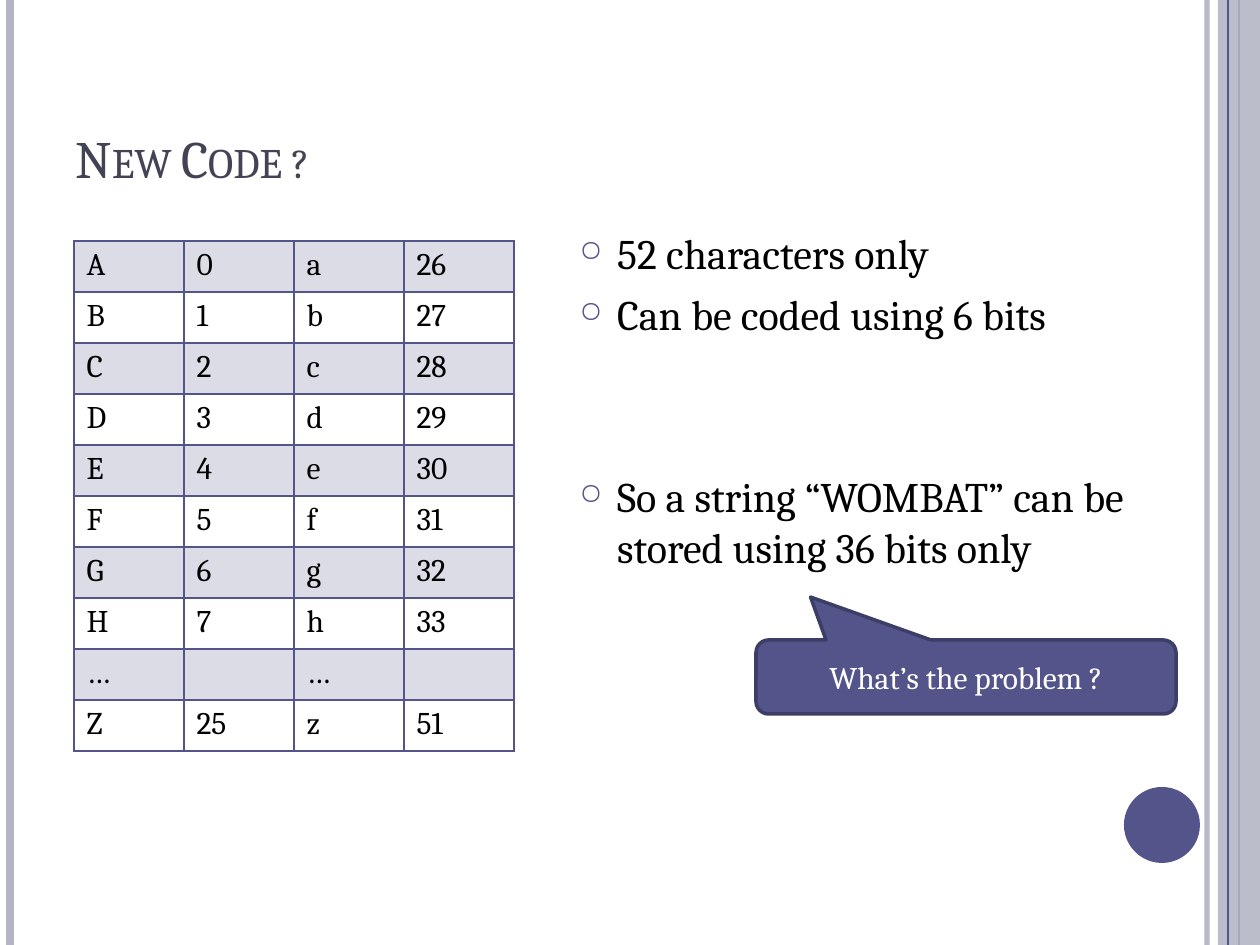
from lxml import etree
from pptx import Presentation
from pptx import util as u
from pptx.dml.color import RGBColor
from pptx.enum import shapes, text
from pptx.oxml import ns

SCALE = 914400 / 126  # EMU per px
SLIDE_WIDTH, SLIDE_HEIGHT = 1260, 945
FONT = "Cambria"
INDIGO = RGBColor(0x53, 0x54, 0x8A)
DARK_INDIGO = RGBColor(0x3D, 0x3E, 0x66)
LAVENDER = RGBColor(0xB3, 0xB4, 0xC4)
SLATE = RGBColor(0x42, 0x44, 0x56)
BLACK = RGBColor(0, 0, 0)
WHITE = RGBColor(0xFF, 0xFF, 0xFF)

CODE_ROWS = [
    *[(chr(65 + i), str(i), chr(97 + i), str(26 + i)) for i in range(8)],
    ("…", "", "…", ""),
    ("Z", "25", "z", "51"),
]


def px(length):
    return u.Emu(round(length * SCALE))


def add_child(parent, tag, **attributes):
    return etree.SubElement(parent, ns.qn(tag), attributes)


def set_alpha(element, percent):
    """Make the first colour inside an element partly transparent."""
    colour = next(element.iter(ns.qn("a:srgbClr")))
    add_child(colour, "a:alpha", val=str(percent * 1000))


def write(paragraph, content, size=18, colour=BLACK, align=None,
          small_caps=False, space_before=0):
    paragraph.alignment = align
    paragraph.space_before = u.Pt(space_before)
    run = paragraph.add_run()
    run.text = content
    run.font.size = u.Pt(size)
    run.font.name = FONT
    run.font.color.rgb = colour
    if small_caps:
        run._r.get_or_add_rPr().set("cap", "small")


def add_vertical_line(slide, x, width, colour, alpha=None):
    line = slide.shapes.add_connector(
        shapes.MSO_CONNECTOR.STRAIGHT, px(x), 0, px(x), px(SLIDE_HEIGHT))
    line.line.width = u.Pt(width)
    line.line.color.rgb = colour
    properties = line._element.spPr
    if alpha:
        set_alpha(properties, alpha)
    add_child(properties, "a:effectLst")


def add_shape(slide, kind, box, fill, outline=None, alpha=None):
    shape = slide.shapes.add_shape(kind, *map(px, box))
    shape.shadow.inherit = False
    shape.fill.solid()
    shape.fill.fore_color.rgb = fill
    if alpha:
        set_alpha(shape._element.spPr, alpha)
    if outline:
        shape.line.color.rgb = outline
        shape.line.width = u.Pt(2)
    else:
        shape.line.fill.background()
    return shape


def add_text_box(slide, box, anchor):
    frame = slide.shapes.add_textbox(*map(px, box)).text_frame
    frame.word_wrap = True
    frame.vertical_anchor = anchor
    return frame


def add_bullet(paragraph):
    properties = paragraph._p.get_or_add_pPr()
    properties.set("marL", str(u.Inches(0.3)))
    properties.set("indent", str(-u.Inches(0.3)))
    colour = add_child(properties, "a:buClr")
    add_child(colour, "a:srgbClr", val=str(INDIGO))
    add_child(properties, "a:buSzPct", val="70000")
    add_child(properties, "a:buChar", char="○")


def style_cell(cell, shaded):
    properties = cell._tc.get_or_add_tcPr()
    if shaded:
        cell.fill.solid()
        cell.fill.fore_color.rgb = INDIGO
        set_alpha(properties, 20)
    else:
        cell.fill.background()
    # Borders come before the fill in the cell properties
    for index, side in enumerate(("lnL", "lnR", "lnT", "lnB")):
        border = etree.Element(ns.qn("a:" + side), w=str(u.Pt(1)))
        fill = add_child(border, "a:solidFill")
        add_child(fill, "a:srgbClr", val=str(INDIGO))
        properties.insert(index, border)


def add_code_table(slide, left, top, column_width, row_height):
    rows, columns = len(CODE_ROWS), len(CODE_ROWS[0])
    table = slide.shapes.add_table(
        rows, columns, px(left), px(top),
        px(columns * column_width), px(rows * row_height)).table
    table.first_row = table.horz_banding = False
    for row_index, values in enumerate(CODE_ROWS):
        for column_index, value in enumerate(values):
            cell = table.cell(row_index, column_index)
            style_cell(cell, shaded=row_index % 2 == 0)
            if value:
                write(cell.text_frame.paragraphs[0], value)


def add_frame(slide):
    add_vertical_line(slide, 1207, 3, LAVENDER, alpha=93)
    add_vertical_line(slide, 10, 4.5, LAVENDER)
    add_vertical_line(slide, 1239, 1.5, INDIGO)
    add_shape(slide, shapes.MSO_SHAPE.RECTANGLE,
              (1218, 0, 42, SLIDE_HEIGHT), LAVENDER, alpha=87)
    add_vertical_line(slide, 1228, 0.75, INDIGO)
    add_shape(slide, shapes.MSO_SHAPE.OVAL, (1124, 787, 76, 76), INDIGO)


def add_points(slide):
    frame = add_text_box(slide, (567, 221, 578, 672), text.MSO_ANCHOR.TOP)
    points = [
        ("52 characters only", 0),
        ("Can be coded using 6 bits", 6),
        ("So a string “WOMBAT” can be stored using 36 bits only", 75.6),
    ]
    for index, (content, gap) in enumerate(points):
        paragraph = frame.add_paragraph() if index else frame.paragraphs[0]
        add_bullet(paragraph)
        write(paragraph, content, size=24, space_before=gap)


def add_callout(slide):
    callout = add_shape(slide, shapes.MSO_SHAPE.ROUNDED_RECTANGULAR_CALLOUT,
                        (756, 640, 420, 74), INDIGO, outline=DARK_INDIGO)
    for index, value in enumerate((-0.37, -1.08, 0.17)):
        callout.adjustments[index] = value
    frame = callout.text_frame
    frame.vertical_anchor = text.MSO_ANCHOR.MIDDLE
    write(frame.paragraphs[0], "What’s the problem ?", colour=WHITE,
          align=text.PP_ALIGN.CENTER)


def main():
    presentation = Presentation()
    presentation.slide_width = px(SLIDE_WIDTH)
    presentation.slide_height = px(SLIDE_HEIGHT)
    slide = presentation.slides.add_slide(presentation.slide_layouts[6])

    # Side bars and corner disc
    add_frame(slide)

    # Title
    title = add_text_box(slide, (63, 38, 1029, 157), text.MSO_ANCHOR.BOTTOM)
    write(title.paragraphs[0], "New Code ?", size=30, colour=SLATE,
          small_caps=True)

    # Code table, points and question
    add_code_table(slide, left=74, top=241, column_width=110, row_height=51)
    add_points(slide)
    add_callout(slide)

    presentation.save("out.pptx")


if __name__ == "__main__":
    main()
